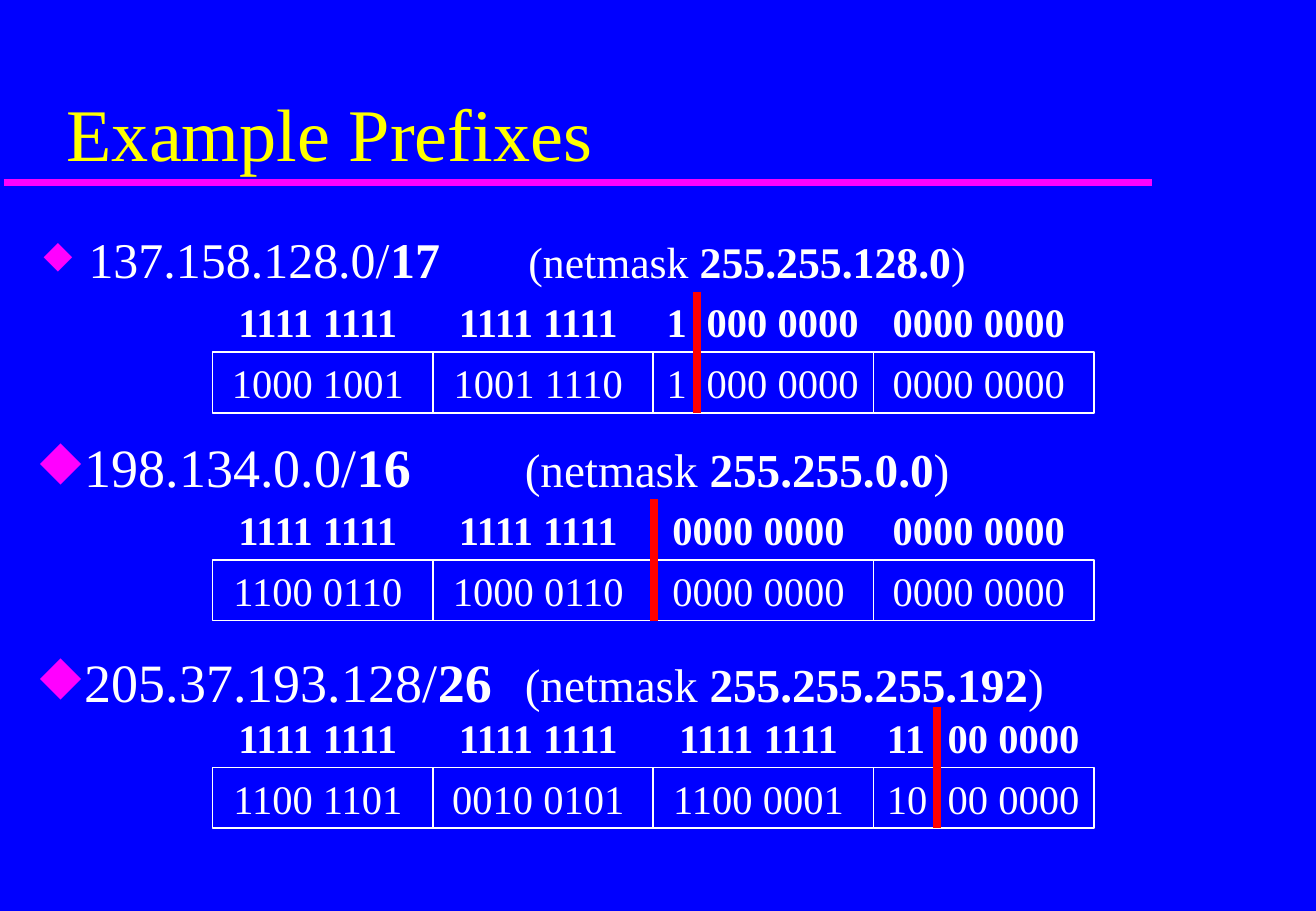
from lxml import etree
from pptx import Presentation
from pptx.dml.color import RGBColor
from pptx.enum.shapes import MSO_CONNECTOR as CONN, MSO_SHAPE as SHAPE
from pptx.enum.text import MSO_ANCHOR as ANCHOR, PP_ALIGN as ALIGN
from pptx.oxml.ns import qn
from pptx.util import Inches, Pt

BLUE = RGBColor(0x00, 0x00, 0xFF)
WHITE = RGBColor(0xFF, 0xFF, 0xFF)
YELLOW = RGBColor(0xFF, 0xFF, 0x00)
MAGENTA = RGBColor(0xFF, 0x00, 0xFF)
RED = RGBColor(0xFF, 0x00, 0x00)

CELL_LEFT, CELL_W, CELL_H = 1.75, 1.813, 0.5
FIRST_TOP, BLOCK_STEP = 2.4, 1.71
INDENT, NETMASK_TAB = 0.37, 3.99

# Heading: left, top, size, netmask size, bullet percent; then address, length, netmask
# Rows: mask bits, address bits; a tab marks the prefix boundary inside an octet
PREFIXES = [
    ((0.26, 1.83, 29.6, 25.9, 75), ("137.158.128.0/", "17", "255.255.128.0"),
     (["1111 1111", "1111 1111", "1\t000 0000", "0000 0000"],
      ["1000 1001", "1001 1110", "1\t000 0000", "0000 0000"]), 5.735),
    ((0.23, 3.52, 32, 28, 100), ("198.134.0.0/", "16", "255.255.0.0"),
     (["1111 1111", "1111 1111", "0000 0000", "0000 0000"],
      ["1100 0110", "1000 0110", "0000 0000", "0000 0000"]), 5.38),
    ((0.23, 5.29, 32, 28, 100), ("205.37.193.128/", "26", "255.255.255.192"),
     (["1111 1111", "1111 1111", "1111 1111", "11\t00 0000"],
      ["1100 1101", "0010 0101", "1100 0001", "10\t00 0000"]), 7.71),
]

prs = Presentation()
prs.slide_width, prs.slide_height = Inches(10.83), Inches(7.5)
s = prs.slides.add_slide(prs.slide_layouts[6])
s.background.fill.solid()
s.background.fill.fore_color.rgb = BLUE


def add_line(x1, y1, x2, y2, color, width):
    line = s.shapes.add_connector(CONN.STRAIGHT, Inches(x1), Inches(y1), Inches(x2), Inches(y2))
    line.line.color.rgb = color
    line.line.width = Pt(width)
    etree.SubElement(line._element.spPr, qn("a:effectLst"))


def add_run(p, text, size, color=WHITE, bold=False):
    r = p.add_run()
    r.text = text
    for name, value in {"name": "Times New Roman", "size": Pt(size), "bold": bold}.items():
        setattr(r.font, name, value)
    r.font.color.rgb = color


# Title and rule
add_line(0.03, 1.5, 9.48, 1.5, MAGENTA, 4)
sp = s.shapes.add_textbox(Inches(0.45), Inches(0.29), Inches(9.2), Inches(1.21))
tf = sp.text_frame
tf.word_wrap, tf.vertical_anchor = True, ANCHOR.BOTTOM
add_run(tf.paragraphs[0], "Example Prefixes", 44, YELLOW)

for i, (layout, (address, length, netmask), rows, divider_x) in enumerate(PREFIXES):
    # Bulleted heading
    left, top, size, small, bullet_pct = layout
    sp = s.shapes.add_textbox(Inches(left), Inches(top), Inches(9.15), Inches(0.63))
    tf = sp.text_frame
    tf.word_wrap = True
    p = tf.paragraphs[0]
    pPr = p._p.get_or_add_pPr()
    pPr.set("marL", str(Inches(INDENT)))
    pPr.set("indent", str(-Inches(INDENT)))
    color = etree.SubElement(pPr, qn("a:buClr"))
    etree.SubElement(color, qn("a:srgbClr"), val=str(MAGENTA))
    etree.SubElement(pPr, qn("a:buSzPct"), val=str(bullet_pct * 1000))
    etree.SubElement(pPr, qn("a:buChar"), char="◆")
    tabs = etree.SubElement(pPr, qn("a:tabLst"))
    etree.SubElement(tabs, qn("a:tab"), pos=str(Inches(NETMASK_TAB)), algn="l")
    add_run(p, address, size)
    add_run(p, length + "\t", size, bold=True)
    add_run(p, "(netmask ", small)
    add_run(p, netmask, small, bold=True)
    add_run(p, ")", small)

    # Mask bits above boxed address bits
    block_top = FIRST_TOP + i * BLOCK_STEP
    for row, octets in enumerate(rows):
        for col, bits in enumerate(octets):
            box = (Inches(CELL_LEFT + col * CELL_W), Inches(block_top + row * CELL_H),
                   Inches(CELL_W), Inches(CELL_H))
            if row == 0:
                sp = s.shapes.add_textbox(*box)
            else:
                sp = s.shapes.add_shape(SHAPE.RECTANGLE, *box)
                sp.shadow.inherit = False
                sp.fill.background()
                sp.line.color.rgb = WHITE
                sp.line.width = Pt(1)
            tf = sp.text_frame
            tf.word_wrap, tf.vertical_anchor = True, ANCHOR.TOP
            p = tf.paragraphs[0]
            if "\t" in bits:
                p.alignment = ALIGN.LEFT
                tf.margin_left, tf.margin_right = Inches(0.11), 0
                tabs = etree.SubElement(p._p.get_or_add_pPr(), qn("a:tabLst"))
                tab_x = 0.33 if bits.index("\t") == 1 else 0.5
                etree.SubElement(tabs, qn("a:tab"), pos=str(Inches(tab_x)), algn="l")
            else:
                p.alignment = ALIGN.CENTER
                tf.margin_right = Inches(0.18)
            add_run(p, bits, 24, bold=row == 0)

    # Boundary between network and host bits
    add_line(divider_x, block_top, divider_x, block_top + 2 * CELL_H, RED, 5)

prs.save("out.pptx")
